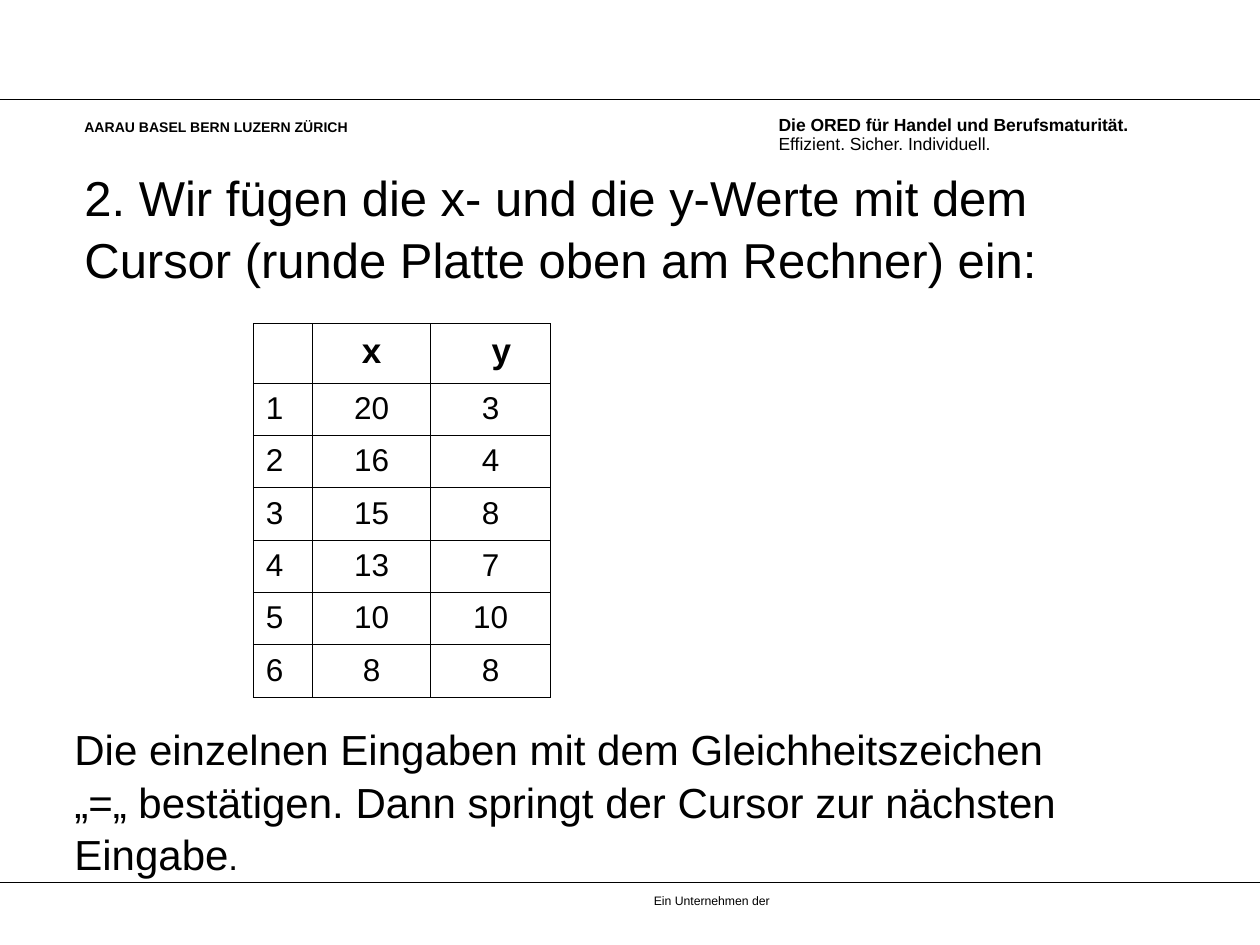
from lxml import etree
from pptx import Presentation
from pptx.dml.color import RGBColor
from pptx.enum.shapes import MSO_CONNECTOR
from pptx.enum.text import PP_ALIGN
from pptx.oxml.ns import qn
from pptx.util import Inches, Pt

BLACK, WHITE = "000000", "FFFFFF"
VALUES = [(20, 3), (16, 4), (15, 8), (13, 7), (10, 10), (8, 8)]


def color(code):
    return RGBColor.from_string(code)


def style(para, size, bold=False, space=1.05):
    para.line_spacing = space
    font = para.font
    font.name, font.size, font.bold = "Arial", Pt(size), bold
    font.color.rgb = color(BLACK)


def add_text(slide, box, lines, space=1.05):
    """Place lines of (text, size, bold) in an unpadded box."""
    frame = slide.shapes.add_textbox(*map(Inches, box)).text_frame
    frame.word_wrap = True
    frame.margin_left = frame.margin_right = 0
    frame.margin_top = frame.margin_bottom = 0
    for i, (text, size, bold) in enumerate(lines):
        para = frame.paragraphs[0] if i == 0 else frame.add_paragraph()
        para.text = text
        style(para, size, bold, space)
    return frame


def add_rule(slide, top):
    rule = slide.shapes.add_connector(
        MSO_CONNECTOR.STRAIGHT, Inches(10), Inches(top), 0, Inches(top))
    rule.line.color.rgb = color(BLACK)
    rule.line.width = Pt(0.34)
    etree.SubElement(rule._element.spPr, qn("a:effectLst"))


def add_header(slide, top):
    add_rule(slide, top)
    add_text(slide, (0.67, top + 0.13, 3.1, 0.15),
             [("AARAU BASEL BERN LUZERN ZÜRICH", 8, True)], Pt(11))
    add_text(slide, (6.18, top + 0.13, 3.1, 0.31),
             [("Die ORED für Handel und Berufsmaturität.", 10, True),
              ("Effizient. Sicher. Individuell.", 10, False)], Pt(11))


def add_footer(slide, top):
    add_rule(slide, top)
    add_text(slide, (5.19, top + 0.11, 1.34, 0.1),
             [("Ein Unternehmen der", 7, False)], Pt(7))


def add_borders(cell):
    props = cell._tc.get_or_add_tcPr()
    for i, side in enumerate(("lnL", "lnR", "lnT", "lnB")):
        line = etree.Element(qn(f"a:{side}"), w=str(Pt(0.45)))
        fill = etree.SubElement(line, qn("a:solidFill"))
        etree.SubElement(fill, qn("a:srgbClr"), val=BLACK)
        props.insert(i, line)


def add_values(slide, box):
    rows = [("", "x", "y")]
    rows += [(i, *pair) for i, pair in enumerate(VALUES, 1)]
    table = slide.shapes.add_table(len(rows), 3, *map(Inches, box)).table
    for col, width in zip(table.columns, (0.47, 0.94, 0.95)):
        col.width = Inches(width)
    head = 0.47
    for r, row in enumerate(rows):
        height = (box[3] - head) / len(VALUES) if r else head
        table.rows[r].height = Inches(height)
        for c, value in enumerate(row):
            cell = table.cell(r, c)
            cell.text = str(value)
            cell.fill.solid()
            cell.fill.fore_color.rgb = color(WHITE)
            add_borders(cell)
            para = cell.text_frame.paragraphs[0]
            para.alignment = PP_ALIGN.CENTER if c else PP_ALIGN.LEFT
            style(para, 18 if r else 20, r == 0)
    table.cell(0, 2).margin_left = Inches(0.27)


def add_note(slide, box):
    frame = add_text(slide, box, [(
        "Die einzelnen Eingaben mit dem Gleichheitszeichen „=„ bestätigen. "
        "Dann springt der Cursor zur nächsten Eingabe", 24, False)])
    stop = frame.paragraphs[0].add_run()
    stop.text = "."
    stop.font.size = Pt(20)


def main():
    deck = Presentation()
    deck.slide_width, deck.slide_height = Inches(10), Inches(7.5)
    slide = deck.slides.add_slide(deck.slide_layouts[6])
    add_header(slide, 0.79)
    add_footer(slide, 7)
    add_text(slide, (0.67, 1.31, 8.58, 0.5), [(
        "2. Wir fügen die x- und die y-Werte mit dem Cursor "
        "(runde Platte oben am Rechner) ein:", 28, False)])
    add_values(slide, (2.01, 2.57, 2.36, 2.9))
    add_note(slide, (0.59, 5.72, 8.58, 0.5))
    deck.save("out.pptx")


if __name__ == "__main__":
    main()
